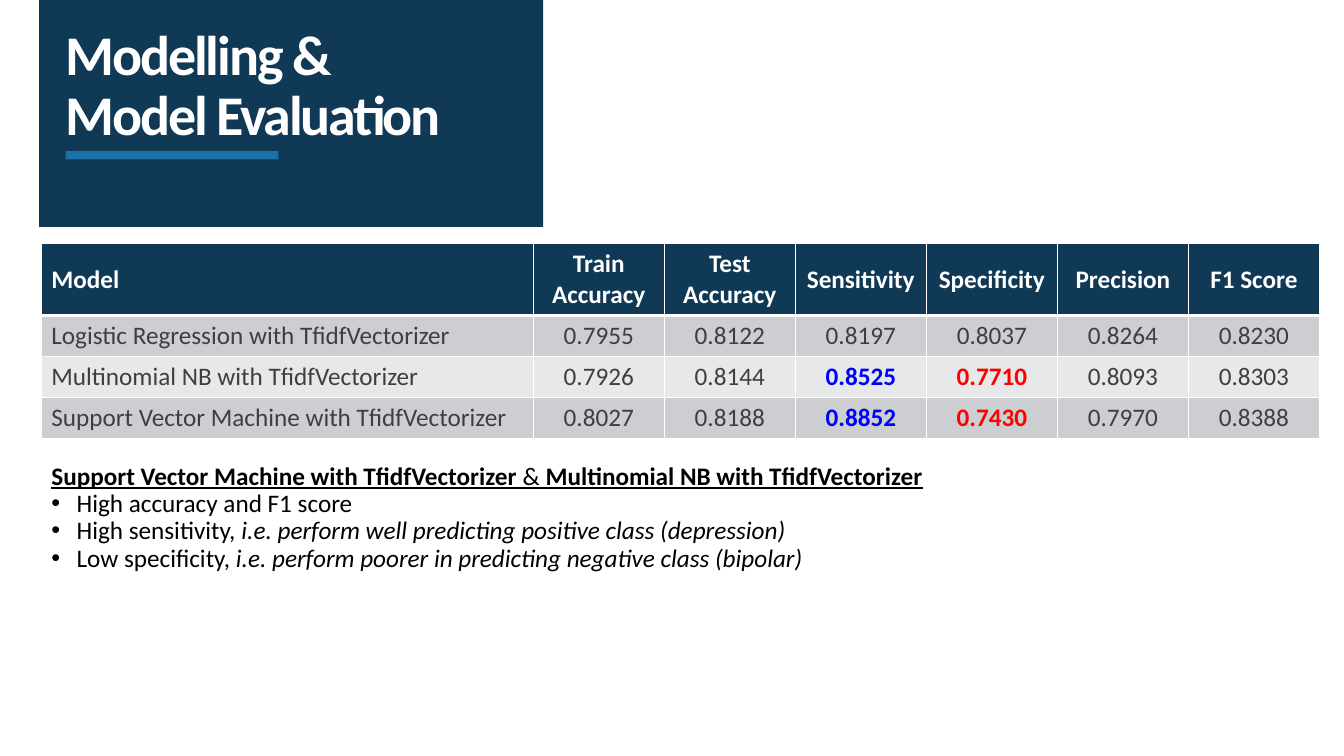
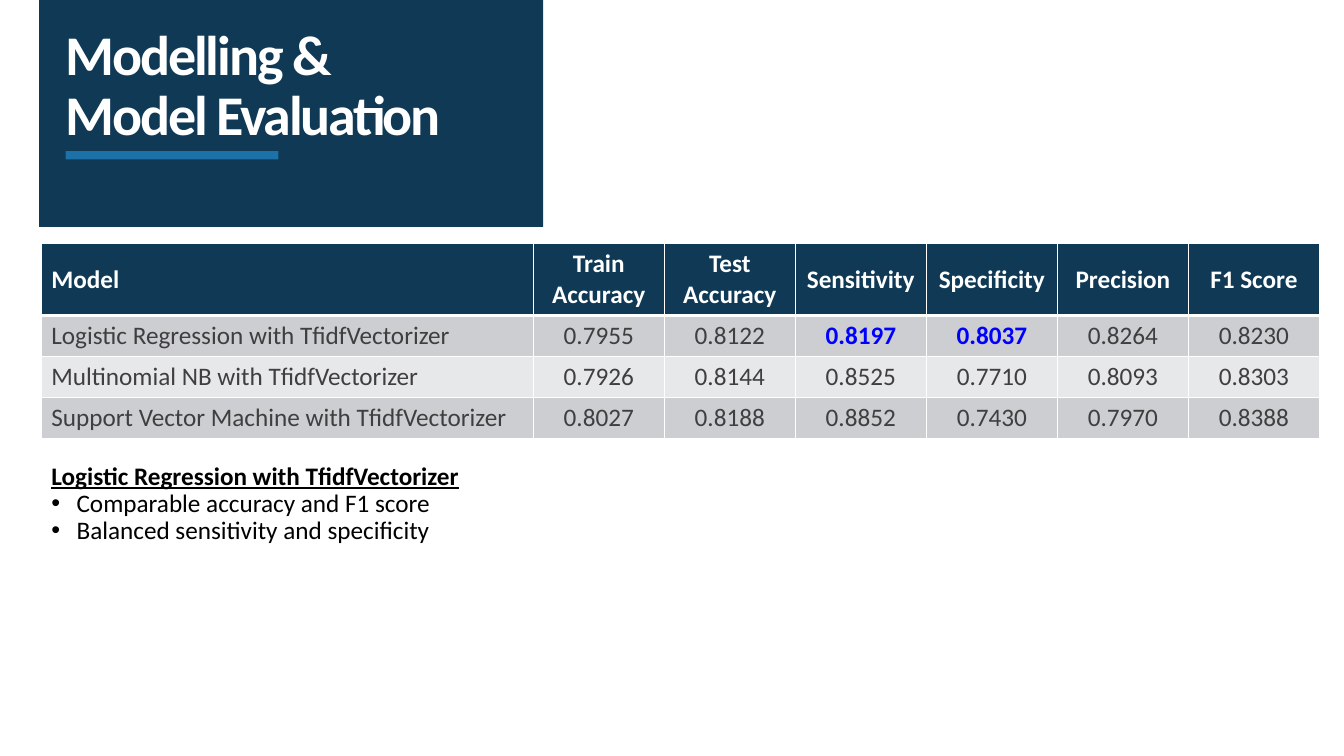
from dataclasses import dataclass

from lxml import etree
from pptx import Presentation
from pptx.dml.color import RGBColor
from pptx.enum.shapes import MSO_CONNECTOR, MSO_SHAPE
from pptx.enum.text import MSO_ANCHOR, MSO_AUTO_SIZE, PP_ALIGN
from pptx.oxml.ns import qn
from pptx.slide import Slide
from pptx.table import _Cell
from pptx.text.text import _Paragraph, _Run
from pptx.util import Pt

NAVY = RGBColor(0x0F, 0x39, 0x55)
ACCENT = RGBColor(0x1E, 0x73, 0xAC)
WHITE = RGBColor(0xFF, 0xFF, 0xFF)
BLACK = RGBColor(0x00, 0x00, 0x00)
TEXT_GREY = RGBColor(0x3F, 0x3F, 0x3F)
ROW_DARK = RGBColor(0xCC, 0xCE, 0xD1)
ROW_LIGHT = RGBColor(0xE7, 0xE8, 0xE9)
BLUE = RGBColor(0x00, 0x00, 0xFF)
RED = RGBColor(0xFF, 0x00, 0x00)

LEFT = PP_ALIGN.LEFT
CENTER = PP_ALIGN.CENTER
TOP = MSO_ANCHOR.TOP
MIDDLE = MSO_ANCHOR.MIDDLE
BOTTOM = MSO_ANCHOR.BOTTOM
NO_AUTOFIT = MSO_AUTO_SIZE.NONE
RECTANGLE = MSO_SHAPE.RECTANGLE
STRAIGHT = MSO_CONNECTOR.STRAIGHT

FONT = "Calibri"
TITLE = "Modelling &\vModel Evaluation"
TITLE_SIZE = 40
TEXT_SIZE = 18
LINE_SPACING = 0.9
INDENT = 18

CONTENT_LEFT = 29.5
TABLE_TOP = 174.2
MODEL_WIDTH = 351.4
SCORE_WIDTH = 93.6
HEADER_HEIGHT = 50
ROW_HEIGHT = 29.2
THIN = 1
THICK = 3

SCORES = [
    ["Model", "Train Accuracy", "Test Accuracy", "Sensitivity",
     "Specificity", "Precision", "F1 Score"],
    ["Logistic Regression with TfidfVectorizer",
     "0.7955", "0.8122", "0.8197", "0.8037", "0.8264", "0.8230"],
    ["Multinomial NB with TfidfVectorizer",
     "0.7926", "0.8144", "0.8525", "0.7710", "0.8093", "0.8303"],
    ["Support Vector Machine with TfidfVectorizer",
     "0.8027", "0.8188", "0.8852", "0.7430", "0.7970", "0.8388"],
]


@dataclass(frozen=True)
class Span:
    text: str
    bold: bool = False
    italic: bool = False
    underline: bool = False


@dataclass(frozen=True)
class Evaluation:
    highlights: dict[tuple[int, int], RGBColor]
    heading: list[Span]
    bullets: list[list[Span]]


EVALUATIONS = [
    Evaluation(
        {(2, 3): BLUE, (2, 4): RED, (3, 3): BLUE, (3, 4): RED},
        [Span("Support Vector Machine with TfidfVectorizer", bold=True, underline=True),
         Span(" & ", underline=True),
         Span("Multinomial NB with TfidfVectorizer", bold=True, underline=True)],
        [[Span("High accuracy and F1 score")],
         [Span("High sensitivity, "),
          Span("i.e. perform well predicting positive class (depression)", italic=True)],
         [Span("Low specificity, "),
          Span("i.e. perform poorer in predicting negative class (bipolar)", italic=True)]],
    ),
    Evaluation(
        {(1, 3): BLUE, (1, 4): BLUE},
        [Span("Logistic Regression with TfidfVectorizer", bold=True, underline=True)],
        [[Span("Comparable accuracy and F1 score")],
         [Span("Balanced sensitivity and specificity")]],
    ),
]


def format_run(r: _Run, size: float, color: RGBColor, bold: bool) -> None:
    r.font.name = FONT
    r.font.size = Pt(size)
    r.font.color.rgb = color
    r.font.bold = bold


def add_band(s: Slide) -> None:
    band = s.shapes.add_shape(RECTANGLE, Pt(28), Pt(0), Pt(360), Pt(162))
    band.shadow.inherit = False
    band.fill.solid()
    band.fill.fore_color.rgb = NAVY
    band.line.fill.background()

    rule = s.shapes.add_connector(STRAIGHT, Pt(198.8), Pt(110.9), Pt(46.8), Pt(110.9))
    rule.line.color.rgb = ACCENT
    rule.line.width = Pt(6)
    color = next(rule.element.iter(qn("a:srgbClr")))
    etree.SubElement(color, qn("a:alpha")).set("val", "97000")
    etree.SubElement(rule.element.spPr, qn("a:effectLst"))

    tree = s.shapes.element
    tree.insert(2, band.element)
    tree.insert(3, rule.element)


def set_title(s: Slide) -> None:
    sp = s.shapes.title
    sp.left, sp.top, sp.width, sp.height = Pt(46.8), Pt(25.2), Pt(338.4), Pt(80.6)
    tf = sp.text_frame
    tf.text = TITLE
    tf.word_wrap = True
    tf.auto_size = NO_AUTOFIT
    tf.vertical_anchor = BOTTOM
    tf.margin_left, tf.margin_top = Pt(0), Pt(3.6)
    tf.margin_right, tf.margin_bottom = Pt(7.2), Pt(0)
    p = tf.paragraphs[0]
    p.alignment = LEFT
    p.line_spacing = LINE_SPACING
    for r in p.runs:
        format_run(r, TITLE_SIZE, WHITE, True)
        r.font._element.set("spc", "-150")


def write_spans(p: _Paragraph, spans: list[Span], bulleted: bool) -> None:
    pPr = p._p.get_or_add_pPr()
    indent = Pt(INDENT) if bulleted else 0
    pPr.set("marL", str(indent))
    pPr.set("indent", str(-indent))
    if bulleted:
        etree.SubElement(pPr, qn("a:buFont")).set("typeface", "Arial")
        etree.SubElement(pPr, qn("a:buChar")).set("char", "•")
    else:
        etree.SubElement(pPr, qn("a:buNone"))
    p.line_spacing = LINE_SPACING
    p.space_before = Pt(0)
    for span in spans:
        r = p.add_run()
        r.text = span.text
        format_run(r, TEXT_SIZE, BLACK, span.bold)
        r.font.italic = span.italic
        r.font.underline = span.underline


def set_findings(s: Slide, evaluation: Evaluation) -> None:
    sp = s.placeholders[1]
    sp.left, sp.top, sp.width, sp.height = Pt(CONTENT_LEFT), Pt(327.6), Pt(867.6), Pt(182.2)
    tf = sp.text_frame
    tf.word_wrap = True
    tf.auto_size = NO_AUTOFIT
    write_spans(tf.paragraphs[0], evaluation.heading, False)
    for spans in evaluation.bullets:
        write_spans(tf.add_paragraph(), spans, True)


def set_borders(cell: _Cell, top: float, bottom: float) -> None:
    tcPr = cell._tc.get_or_add_tcPr()
    for side, width in (("L", THIN), ("R", THIN), ("T", top), ("B", bottom)):
        ln = etree.SubElement(tcPr, qn(f"a:ln{side}"), w=str(Pt(width)))
        fill = etree.SubElement(ln, qn("a:solidFill"))
        etree.SubElement(fill, qn("a:srgbClr")).set("val", str(WHITE))


def add_scores(s: Slide, highlights: dict[tuple[int, int], RGBColor]) -> None:
    widths = [MODEL_WIDTH] + [SCORE_WIDTH] * (len(SCORES[0]) - 1)
    heights = [HEADER_HEIGHT] + [ROW_HEIGHT] * (len(SCORES) - 1)
    table = s.shapes.add_table(
        len(heights), len(widths), Pt(CONTENT_LEFT), Pt(TABLE_TOP),
        Pt(sum(widths)), Pt(sum(heights))).table
    table.horz_banding = False
    for column, width in zip(table.columns, widths):
        column.width = Pt(width)
    for i, values in enumerate(SCORES):
        table.rows[i].height = Pt(heights[i])
        header = i == 0
        row_fill = NAVY if header else ROW_DARK if i % 2 else ROW_LIGHT
        text_color = WHITE if header else TEXT_GREY
        for j, value in enumerate(values):
            cell = table.cell(i, j)
            set_borders(cell, THICK if i == 1 else THIN, THICK if header else THIN)
            cell.fill.solid()
            cell.fill.fore_color.rgb = row_fill
            cell.vertical_anchor = MIDDLE if header else TOP
            cell.text_frame.text = value
            p = cell.text_frame.paragraphs[0]
            p.alignment = CENTER if j else LEFT
            format_run(p.runs[0], TEXT_SIZE, highlights.get((i, j), text_color),
                       header or (i, j) in highlights)


def main() -> None:
    prs = Presentation()
    prs.slide_width, prs.slide_height = Pt(960), Pt(540)
    for evaluation in EVALUATIONS:
        s = prs.slides.add_slide(prs.slide_layouts[1])
        add_band(s)
        set_title(s)
        set_findings(s, evaluation)
        add_scores(s, evaluation.highlights)
    prs.save("out.pptx")


if __name__ == "__main__":
    main()
